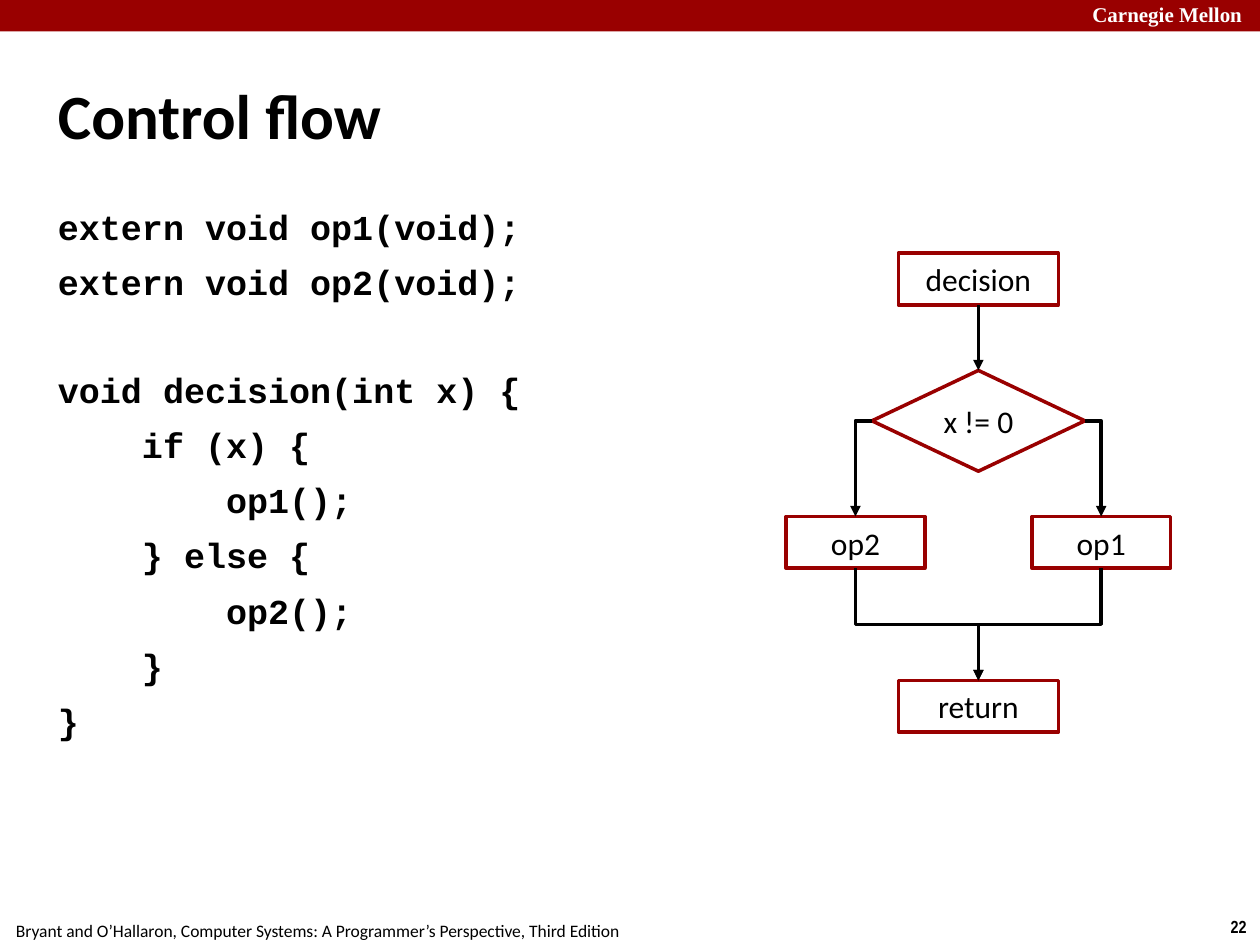
from dataclasses import dataclass
from lxml.etree import SubElement
from pptx import Presentation
from pptx.dml.color import RGBColor as Color
from pptx.enum.shapes import MSO_CONNECTOR as Link, MSO_SHAPE as Shape
from pptx.enum.text import MSO_ANCHOR as Anchor, PP_ALIGN as Align
from pptx.oxml.ns import qn
from pptx.util import Inches, Pt


@dataclass(frozen=True)
class Theme:
    red: Color = Color(0x99, 0x00, 0x00)
    black: Color = Color(0x00, 0x00, 0x00)
    white: Color = Color(0xFF, 0xFF, 0xFF)
    body_font: str = "Calibri"
    code_font: str = "Courier New"
    brand_font: str = "Times New Roman"
    number_font: str = "Arial Narrow"
    title_size: int = 36
    code_size: int = 20
    node_size: int = 18
    brand_size: int = 12
    footer_size: int = 10
    line_width: int = 2
    code_gap: float = 7.5
    block_gap: float = 37.65


THEME = Theme()
COLUMNS, ROWS = 100, 75
TOP, LEFT, BOTTOM, RIGHT = range(4)
CODE_BLOCKS = [
    ["extern void op1(void);", "extern void op2(void);"],
    [
        "void decision(int x) {",
        "    if (x) {",
        "        op1();",
        "    } else {",
        "        op2();",
        "    }",
        "}",
    ],
]


def cells(count):
    return Inches(count / 10)


def style(para, font, size, color=THEME.black, bold=False, align=Align.LEFT):
    para.alignment = align
    for span in para.runs:
        span.font.name = font
        span.font.size = Pt(size)
        span.font.bold = bold
        span.font.color.rgb = color


def add_text(page, area, text, font, size, inset=0.4, wrap=True, anchor=Anchor.TOP, **look):
    frame = page.shapes.add_textbox(*map(cells, area)).text_frame
    frame.word_wrap = wrap
    frame.vertical_anchor = anchor
    frame.margin_left = frame.margin_right = cells(inset)
    frame.margin_top = frame.margin_bottom = cells(inset)
    frame.text = text
    for para in frame.paragraphs:
        style(para, font, size, **look)
    return frame


def add_header(page, area):
    left, top, width, height = area
    bar = page.shapes.add_shape(Shape.RECTANGLE, *map(cells, area))
    bar.shadow.inherit = False
    bar.fill.solid()
    bar.fill.fore_color.rgb = THEME.red
    bar.line.fill.background()
    add_text(page, (left + width - 13.7, top - 0.3, 14.4, height + 0.3), "Carnegie Mellon",
             THEME.brand_font, THEME.brand_size, color=THEME.white, bold=True)


def add_footer(page, area):
    left, top, width, height = area
    look = dict(inset=0.5, wrap=False, align=Align.CENTER)
    add_text(page, (left - 0.2, top + 0.3, 50.8, height),
             "Bryant and O’Hallaron, Computer Systems: A Programmer’s Perspective, Third Edition",
             THEME.body_font, THEME.footer_size, **look)
    add_text(page, (left + width - 3.4, top, 3.4, height), "22",
             THEME.number_font, THEME.footer_size, bold=True, **look)


def add_code(page, area):
    lines = [line for block in CODE_BLOCKS for line in block]
    frame = add_text(page, area, "\n".join(lines), THEME.code_font, THEME.code_size, bold=True)
    for para in frame.paragraphs[1:]:
        para.space_before = Pt(THEME.code_gap)
    frame.paragraphs[len(CODE_BLOCKS[0])].space_before = Pt(THEME.block_gap)


def add_node(page, kind, center, top, width, height, label):
    node = page.shapes.add_shape(kind, *map(cells, (center - width / 2, top, width, height)))
    node.shadow.inherit = False
    node.fill.solid()
    node.fill.fore_color.rgb = THEME.white
    node.line.color.rgb = THEME.red
    node.line.width = Pt(THEME.line_width)
    frame = node.text_frame
    frame.word_wrap = False
    frame.vertical_anchor = Anchor.MIDDLE
    frame.text = label
    style(frame.paragraphs[0], THEME.body_font, THEME.node_size, align=Align.CENTER)
    return node


def add_arrow(page, kind, source, source_side, target, target_side):
    arrow = page.shapes.add_connector(kind, 0, 0, 0, 0)
    arrow.begin_connect(source, source_side)
    arrow.end_connect(target, target_side)
    arrow.line.color.rgb = THEME.black
    arrow.line.width = Pt(THEME.line_width)
    properties = arrow._element.spPr
    SubElement(properties.find(qn("a:ln")), qn("a:tailEnd"), type="triangle")
    SubElement(properties, qn("a:effectLst"))
    return arrow


def add_corner(page, source, side, target):
    arrow = add_arrow(page, Link.ELBOW, source, side, target, TOP)
    arrow._element.spPr.find(qn("a:prstGeom")).set("prst", "bentConnector2")


def add_merge(page, source, target):
    arrow = add_arrow(page, Link.ELBOW, source, BOTTOM, target, TOP)
    rightward = arrow.begin_x < arrow.end_x
    middle_x = (arrow.begin_x + arrow.end_x) // 2
    middle_y = (arrow.begin_y + arrow.end_y) // 2
    width, height = arrow.height, arrow.width
    arrow.left, arrow.top = middle_x - width // 2, middle_y - height // 2
    arrow.width, arrow.height = width, height
    frame = arrow._element.spPr.find(qn("a:xfrm"))
    frame.set("rot", str((270 if rightward else 90) * 60000))
    frame.set("flipH", "1" if rightward else "0")


def add_flowchart(page, area):
    left, top, width, height = area
    center, box_height, end_width, branch_width = left + width / 2, 4.1, 12.7, 11
    branch_top = top + height * 0.55
    start = add_node(page, Shape.FLOWCHART_PROCESS, center, top, end_width, box_height, "decision")
    test = add_node(page, Shape.FLOWCHART_DECISION, center, top + 9.3, 16.9, 8, "x != 0")
    branches = [
        add_node(page, Shape.FLOWCHART_PROCESS, x, branch_top, branch_width, box_height, label)
        for x, label in ((left + branch_width / 2, "op2"),
                         (left + width - branch_width / 2, "op1"))
    ]
    finish = add_node(page, Shape.FLOWCHART_PROCESS, center, top + height - box_height,
                      end_width, box_height, "return")
    add_arrow(page, Link.STRAIGHT, start, BOTTOM, test, TOP)
    for side, branch in zip((LEFT, RIGHT), branches):
        add_corner(page, test, side, branch)
        add_merge(page, branch, finish)


def main():
    deck = Presentation()
    deck.slide_width, deck.slide_height = cells(COLUMNS), cells(ROWS)
    page = deck.slides.add_slide(deck.slide_layouts[6])
    add_footer(page, (0, 72.2, COLUMNS, 2.7))
    add_header(page, (0, 0, COLUMNS, 2.5))
    add_text(page, (4.2, 2.8, 91.7, 12.5), "Control flow", THEME.body_font, THEME.title_size,
             anchor=Anchor.MIDDLE, bold=True)
    add_code(page, (4.2, 15.9, 45, 58))
    add_flowchart(page, (62.4, 20.1, 30.5, 38))
    deck.save("out.pptx")


if __name__ == "__main__":
    main()
